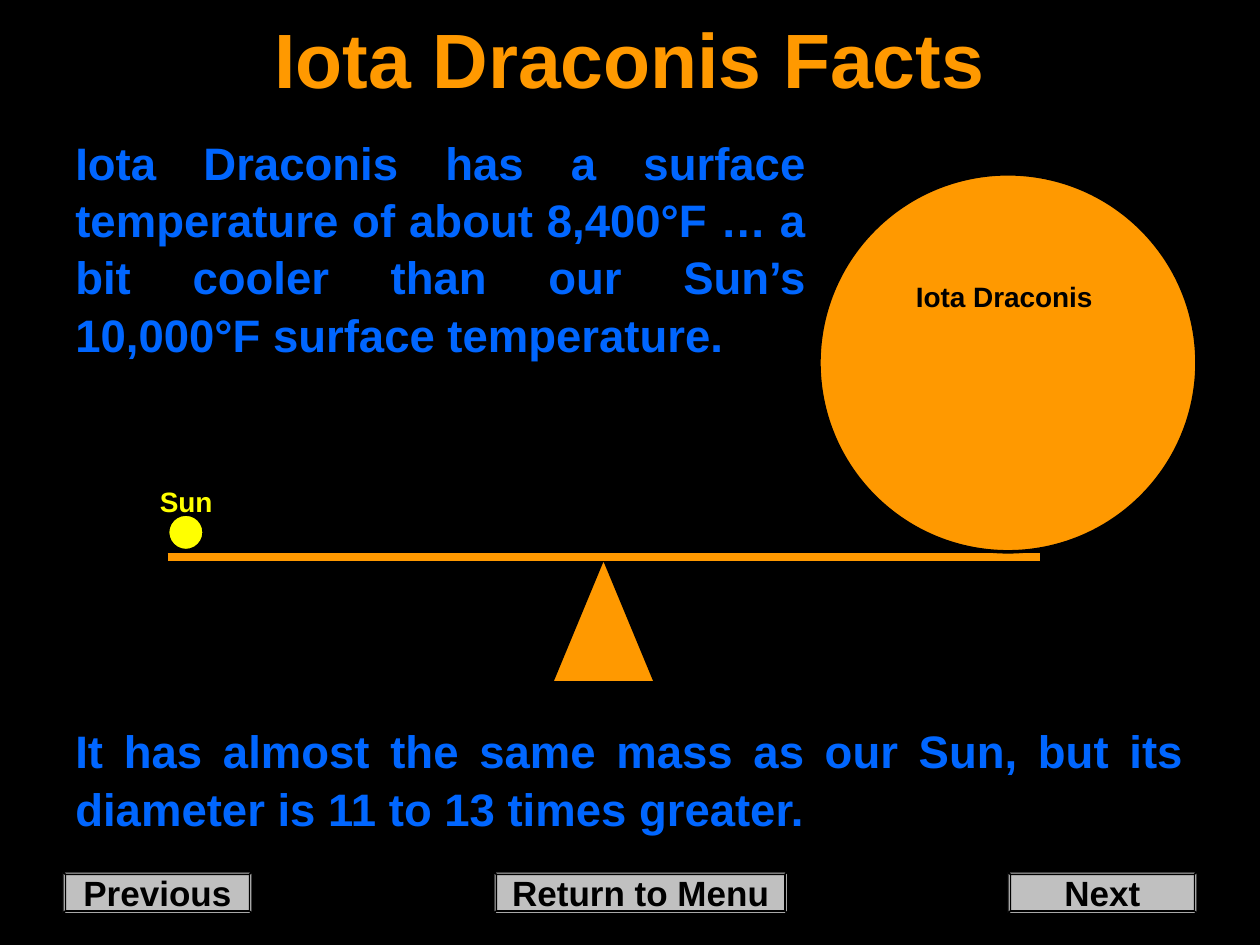
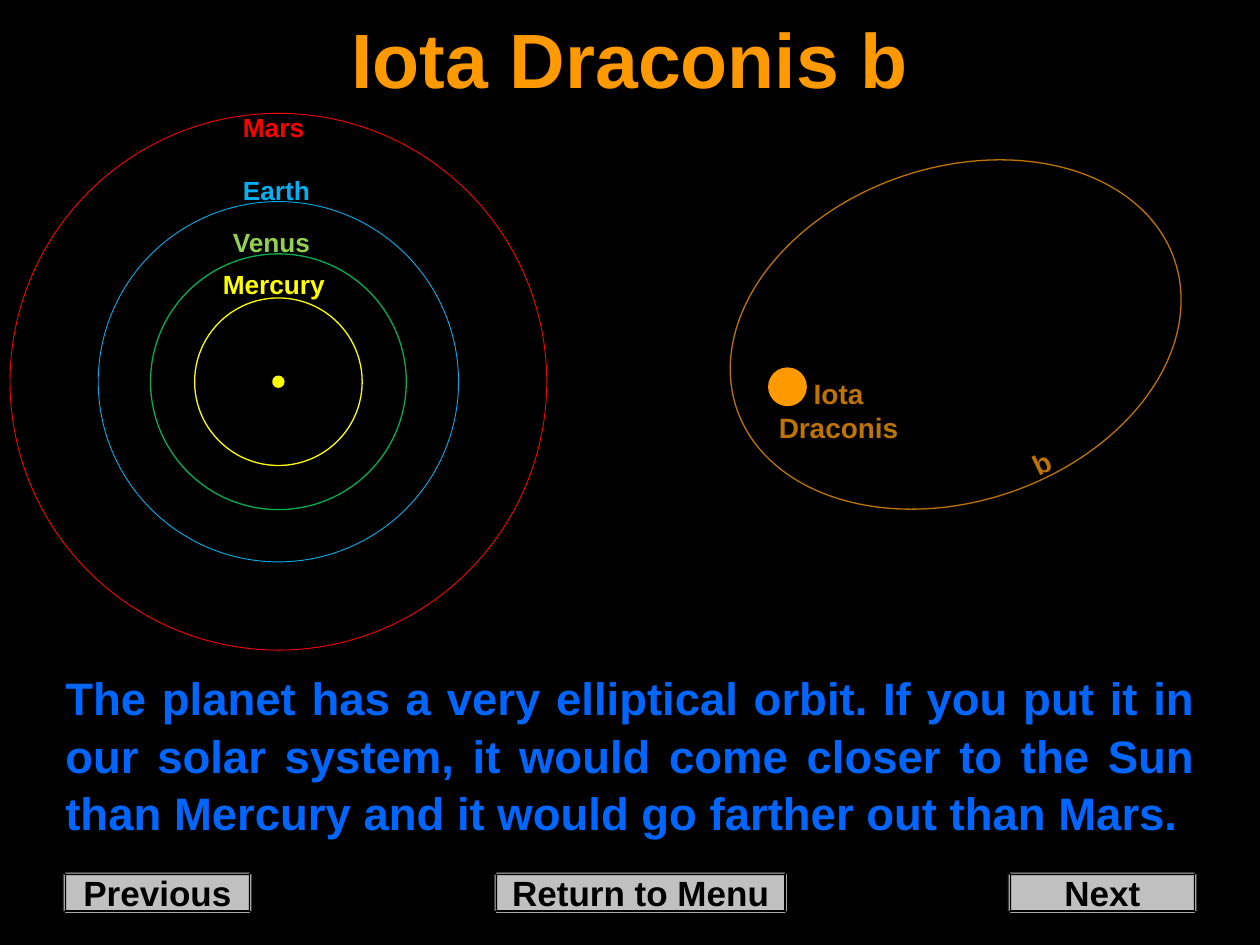
from lxml import etree
from pptx import Presentation
from pptx.dml.color import RGBColor
from pptx.enum.shapes import MSO_CONNECTOR, MSO_SHAPE
from pptx.enum.text import MSO_ANCHOR, MSO_AUTO_SIZE, PP_ALIGN
from pptx.oxml.ns import qn
from pptx.util import Inches, Pt

ELLIPSE, TRIANGLE = MSO_SHAPE.OVAL, MSO_SHAPE.ISOSCELES_TRIANGLE
STRAIGHT = MSO_CONNECTOR.STRAIGHT
LEFT, CENTER, JUSTIFY = PP_ALIGN.LEFT, PP_ALIGN.CENTER, PP_ALIGN.JUSTIFY
MIDDLE = MSO_ANCHOR.MIDDLE
NO_AUTOFIT = MSO_AUTO_SIZE.NONE

BLACK = RGBColor(0x00, 0x00, 0x00)
ORANGE = RGBColor(0xFF, 0x99, 0x00)
DARK_ORANGE = RGBColor(0xBF, 0x73, 0x00)
BLUE = RGBColor(0x00, 0x66, 0xFF)
SKY_BLUE = RGBColor(0x00, 0xB0, 0xF0)
YELLOW = RGBColor(0xFF, 0xFF, 0x00)
RED = RGBColor(0xFF, 0x00, 0x00)
GREEN = RGBColor(0x00, 0xB0, 0x50)
LIGHT_GREEN = RGBColor(0x92, 0xD0, 0x50)
GRAY = RGBColor(0xC0, 0xC0, 0xC0)

FONT = "Arial"
TITLE_ONLY = 5
BEVEL = 0.02
BUTTON_TOP, BUTTON_HEIGHT = 6.92, 0.33
BUTTONS = [  # text, left, width
    ("Previous", 0.5, 1.5),
    ("Next", 8, 1.5),
    ("Return to Menu", 3.92, 2.33),
]
PLANETS = [  # name, label offset, label width, label colour, orbit diameter, orbit colour, line
    ("Mars", (1.75, -0.07), 0.7, RED, 4.26, RED, 0.5),
    ("Earth", (1.75, 0.43), 0.77, SKY_BLUE, 2.86, SKY_BLUE, 0.5),
    ("Venus", (1.67, 0.85), 0.84, LIGHT_GREEN, 2.03, GREEN, 0.75),
    ("Mercury", (1.59, 1.18), 1.07, YELLOW, 1.33, YELLOW, 0.75),
]


def write(text_frame, text, size, color, alignment):
    paragraph = text_frame.paragraphs[0]
    paragraph.alignment = alignment
    run = paragraph.add_run()
    run.text = text
    run.font.name = FONT
    run.font.size = Pt(size)
    run.font.bold = True
    run.font.color.rgb = color
    return paragraph


def add_text(slide, text, left, top, width, height, size, color, alignment=LEFT):
    box = slide.shapes.add_textbox(Inches(left), Inches(top), Inches(width), Inches(height))
    box.text_frame.word_wrap = True
    write(box.text_frame, text, size, color, alignment)
    return box


def add_body(slide, text, left, top, width, height):
    box = add_text(slide, text, left, top, width, height, 26, BLUE, JUSTIFY)
    box.text_frame.paragraphs[0].line_spacing = 1.05


def paint(shape, fill, line, line_width):
    shape.shadow.inherit = False
    if fill is None:
        shape.fill.background()
    else:
        shape.fill.solid()
        shape.fill.fore_color.rgb = fill
    shape.line.color.rgb = line
    shape.line.width = Pt(line_width)


def add_figure(slide, preset, left, top, width, height, fill, line=BLACK, line_width=2):
    shape = slide.shapes.add_shape(
        preset, Inches(left), Inches(top), Inches(width), Inches(height))
    paint(shape, fill, line, line_width)
    return shape


def add_circle(slide, center_x, center_y, diameter, fill, line=BLACK, line_width=2):
    return add_figure(slide, ELLIPSE, center_x - diameter / 2, center_y - diameter / 2,
                      diameter, diameter, fill, line, line_width)


def corners(left, top, width, height):
    right, bottom = left + width, top + height
    return [(Inches(x), Inches(y))
            for x, y in ((left, top), (right, top), (right, bottom), (left, bottom))]


def add_button(slide, text, left, top, width, height):
    """Add a button made of a flat face and four bevelled sides."""
    outer = corners(left, top, width, height)
    face = corners(left + BEVEL, top + BEVEL, width - 2 * BEVEL, height - 2 * BEVEL)
    builder = slide.shapes.build_freeform(*face[0])
    builder.add_line_segments(face[1:], close=True)
    for side in range(4):
        following = (side + 1) % 4
        builder.move_to(*outer[side])
        builder.add_line_segments([outer[following], face[following], face[side]], close=True)
    button = builder.convert_to_shape()
    paint(button, GRAY, BLACK, 0.75)
    button.text_frame.word_wrap = False
    button.text_frame.vertical_anchor = MIDDLE
    write(button.text_frame, text, 20, BLACK, CENTER)


def add_titled_slide(presentation, title_text):
    """Add a slide with its title and the row of navigation buttons."""
    slide = presentation.slides.add_slide(presentation.slide_layouts[TITLE_ONLY])
    title = slide.shapes.title
    title.left, title.top = Inches(0), Inches(0)
    title.width, title.height = presentation.slide_width, Inches(0.92)
    title.text_frame.auto_size = NO_AUTOFIT
    title.text_frame.vertical_anchor = MIDDLE
    write(title.text_frame, title_text, 44, ORANGE, CENTER)
    for text, left, width in BUTTONS:
        add_button(slide, text, left, BUTTON_TOP, width, BUTTON_HEIGHT)
    return slide


def draw_balance(slide, left, top, width):
    """Draw a beam with the Sun and the star; left, top and width are the beam's."""
    add_figure(slide, TRIANGLE, left + (width - 0.83) / 2, top, 0.83, 1, ORANGE)
    beam = slide.shapes.add_connector(
        STRAIGHT, Inches(left), Inches(top), Inches(left + width), Inches(top))
    beam.line.color.rgb = ORANGE
    beam.line.width = Pt(4.5)
    etree.SubElement(beam.element.spPr, qn("a:effectLst"))
    add_figure(slide, ELLIPSE, left + 5.17, top - 3.04, 3, 3, ORANGE)
    add_figure(slide, ELLIPSE, left, top - 0.34, 0.29, 0.29, YELLOW)
    add_text(slide, "Iota Draconis", left + 5.84, top - 2.25, 1.67, 0.37, 16, BLACK)
    add_text(slide, "Sun", left - 0.16, top - 0.62, 0.67, 0.37, 16, YELLOW)


def draw_inner_planets(slide, left, top):
    radius = PLANETS[0][4] / 2
    center = (left + radius, top + radius)
    for _, _, _, _, diameter, color, line_width in PLANETS:
        add_circle(slide, *center, diameter, BLACK, color, line_width)
    add_circle(slide, *center, 0.07, YELLOW, YELLOW)
    for name, (across, down), width, color, *_ in PLANETS:
        add_text(slide, name, left + across, top + down, width, 0.35, 15, color)


def draw_elliptical_orbit(slide, left, top):
    add_circle(slide, left + 0.5, top + 1.74, 0.28, ORANGE, ORANGE)
    orbit = add_figure(slide, ELLIPSE, left, top, 3.67, 2.65, None, DARK_ORANGE, 0.75)
    orbit.rotation = -18.7
    planet = add_text(slide, "b", left + 2.35, top + 2.16, 0.34, 0.37, 16, DARK_ORANGE)
    planet.rotation = -25.9
    add_text(slide, "Iota Draconis", left + 0.33, top + 1.61, 1.15, 0.64,
             16, DARK_ORANGE, CENTER)


def build_facts_slide(presentation):
    slide = add_titled_slide(presentation, "Iota Draconis Facts")
    add_body(slide, "It has almost the same mass as our Sun, but its diameter is "
             "11 to 13 times greater.", 0.5, 5.67, 9, 0.97)
    draw_balance(slide, 1.33, 4.42, 6.92)
    add_body(slide, "Iota Draconis has a surface temperature of about 8,400°F … a bit "
             "cooler than our Sun’s 10,000°F surface temperature.", 0.5, 1, 6, 1.84)


def build_planet_slide(presentation):
    slide = add_titled_slide(presentation, "Iota Draconis b")
    add_body(slide, "The planet has a very elliptical orbit. If you put it in our solar "
             "system, it would come closer to the Sun than Mercury and it would go "
             "farther out than Mars.", 0.42, 5.25, 9.17, 1.4)
    draw_inner_planets(slide, 0.08, 0.9)
    draw_elliptical_orbit(slide, 5.75, 1.33)


def main():
    presentation = Presentation()
    presentation.slide_width = Inches(10)
    presentation.slide_height = Inches(7.5)
    background = presentation.slide_master.background.fill
    background.solid()
    background.fore_color.rgb = BLACK
    build_facts_slide(presentation)
    build_planet_slide(presentation)
    presentation.save("out.pptx")


if __name__ == "__main__":
    main()
